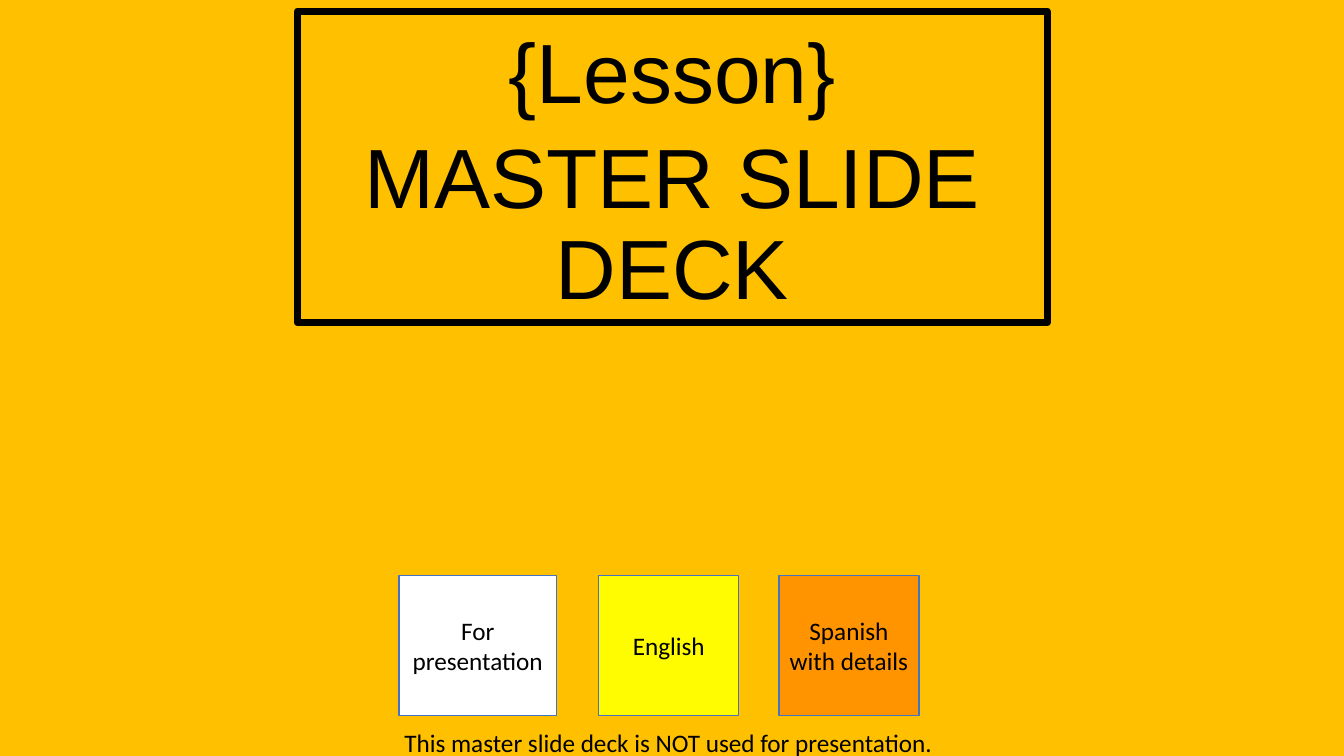
from pptx import Presentation
from pptx.dml.color import RGBColor
from pptx.enum.shapes import MSO_SHAPE
from pptx.enum.text import MSO_ANCHOR, MSO_AUTO_SIZE, PP_ALIGN
from pptx.oxml.ns import qn
from pptx.util import Cm, Pt
from lxml import etree

AMBER = RGBColor(0xFF, 0xC0, 0x00)
BLACK = RGBColor(0x00, 0x00, 0x00)
WHITE = RGBColor(0xFF, 0xFF, 0xFF)
YELLOW = RGBColor(0xFF, 0xFB, 0x00)
ORANGE = RGBColor(0xFF, 0x93, 0x00)
BLUE = RGBColor(0x44, 0x72, 0xC4)


def style_runs(frame, font_name, size):
    for paragraph in frame.paragraphs:
        for run in paragraph.runs:
            run.font.name = font_name
            run.font.size = Pt(size)
            run.font.color.rgb = BLACK


def set_insets(frame, left, top, right, bottom):
    frame.margin_left, frame.margin_top = Cm(left), Cm(top)
    frame.margin_right, frame.margin_bottom = Cm(right), Cm(bottom)


prs = Presentation()
prs.slide_width, prs.slide_height = Cm(33.87), Cm(19.05)
slide = prs.slides.add_slide(prs.slide_layouts[6])
slide.background.fill.solid()
slide.background.fill.fore_color.rgb = AMBER

# Framed title
title = slide.shapes.add_shape(MSO_SHAPE.RECTANGLE, Cm(7.49), Cm(0.28), Cm(18.9), Cm(7.85))
title.shadow.inherit = False
title.fill.background()
title.line.color.rgb = BLACK
title.line.width = Pt(5)
etree.SubElement(title.line._get_or_add_ln(), qn("a:round"))
title_frame = title.text_frame
title_frame.word_wrap = True
title_frame.vertical_anchor = MSO_ANCHOR.TOP
set_insets(title_frame, 0.25, 0.51, 0.25, 0.13)
title_frame.text = "{Lesson}\nMASTER SLIDE DECK"
for line in title_frame.paragraphs:
    line.alignment = PP_ALIGN.CENTER
    line.line_spacing = 0.9
    line.space_before = Pt(10)
style_runs(title_frame, "Arial", 60)

# Colour key
KEY_TOP, KEY_HEIGHT = 14.5, 3.53
color_key = [
    ("For presentation", WHITE, 10.06, 3.96),
    ("English", YELLOW, 15.09, KEY_HEIGHT),
    ("Spanish with details", ORANGE, 19.63, KEY_HEIGHT),
]
for label, color, left, width in color_key:
    card = slide.shapes.add_shape(
        MSO_SHAPE.RECTANGLE, Cm(left), Cm(KEY_TOP), Cm(width), Cm(KEY_HEIGHT))
    card.shadow.inherit = False
    card.fill.solid()
    card.fill.fore_color.rgb = color
    card.line.color.rgb = BLUE
    card.line.width = Pt(1)
    card_frame = card.text_frame
    card_frame.word_wrap = True
    card_frame.vertical_anchor = MSO_ANCHOR.MIDDLE
    set_insets(card_frame, 0.13, 0.13, 0.13, 0.13)
    card_frame.text = label
    card_frame.paragraphs[0].alignment = PP_ALIGN.CENTER
    style_runs(card_frame, "Calibri", 18)

# Usage note
note = slide.shapes.add_textbox(Cm(10.06), Cm(18.19), Cm(13.74), Cm(1.02))
note_frame = note.text_frame
note_frame.word_wrap = False
note_frame.auto_size = MSO_AUTO_SIZE.SHAPE_TO_FIT_TEXT
set_insets(note_frame, 0.13, 0.13, 0.13, 0.13)
note_frame.text = "This master slide deck is NOT used for presentation."
style_runs(note_frame, "Calibri", 18)

prs.save("out.pptx")
